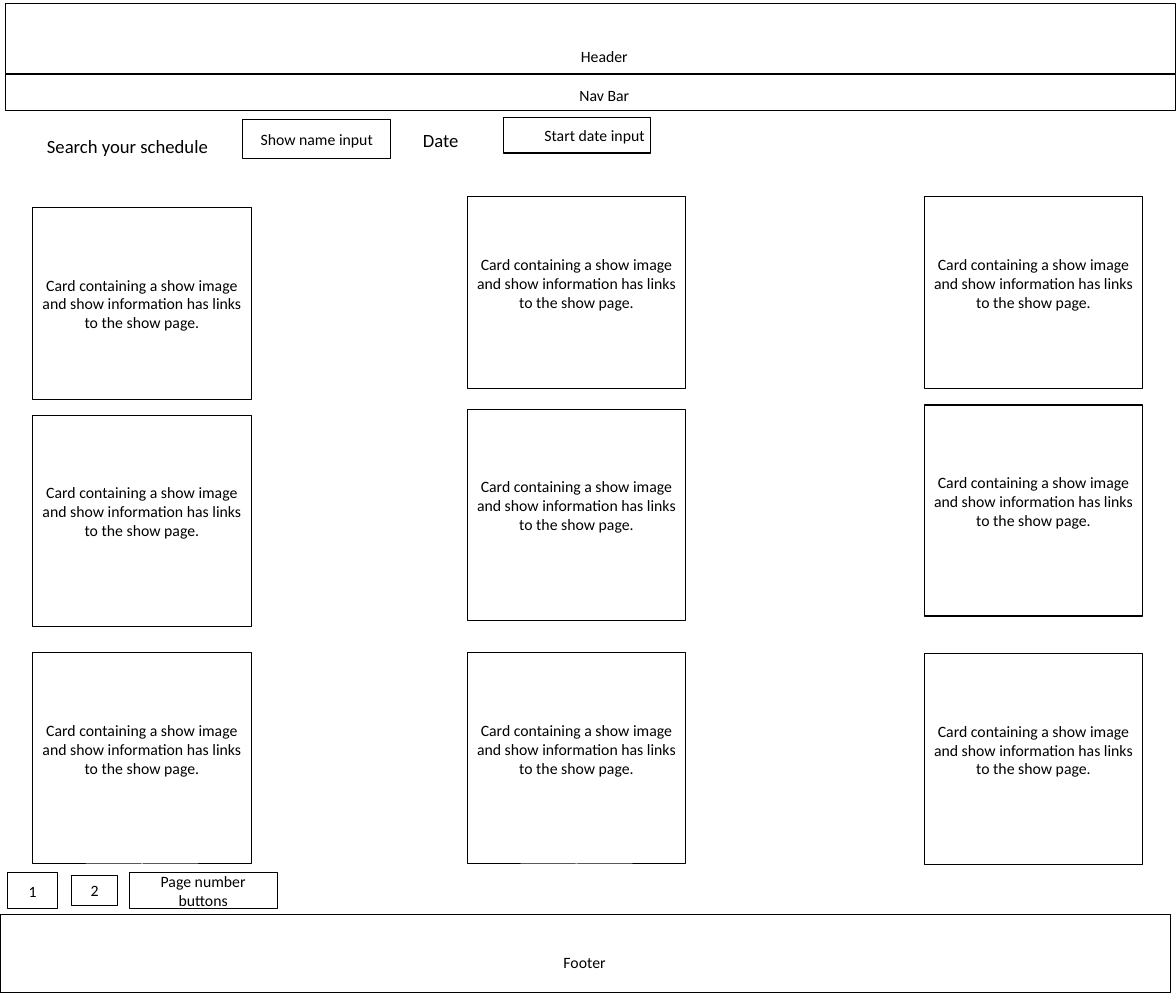
from pptx import Presentation
from pptx.dml.color import RGBColor
from pptx.enum import shapes, text
from pptx.util import Pt

BLACK = RGBColor(0, 0, 0)
FONT = "Calibri"
BODY_SIZE = 15.2
LABEL_SIZE = 18
SIDE_INSET, EDGE_INSET = 5.8, 2.9
CAPTION_LINE = 18.5
CARD_TEXT = ("Card containing a show image and show information "
             "has links to the show page.")
CARD_WIDTH = 210.5
CARD_HEIGHTS = (185, 203.4, 203.4)
# Left edge of each column, with the top of each card in it
CARD_COLUMNS = (
    (31.7, (200.2, 400.5, 629.4)),
    (450.7, (189.4, 394.7, 629.4)),
    (891.4, (189.4, 390.4, 630.2)),
)


def write(frame, words, size=BODY_SIZE, align=text.PP_ALIGN.CENTER):
    para = frame.paragraphs[0]
    para.alignment = align
    span = para.add_run()
    span.text = words
    span.font.name = FONT
    span.font.size = Pt(size)
    span.font.color.rgb = BLACK


def add_frame(page, left, top, width, height, words="",
              bottom_inset=EDGE_INSET, align=text.PP_ALIGN.CENTER):
    """Outlined rectangle with its words in the middle."""
    box = page.shapes.add_shape(shapes.MSO_SHAPE.RECTANGLE,
                                Pt(left), Pt(top), Pt(width), Pt(height))
    box.shadow.inherit = False
    box.fill.background()
    box.line.color.rgb = BLACK
    box.line.width = Pt(1)
    if words:
        frame = box.text_frame
        frame.word_wrap = True
        frame.vertical_anchor = text.MSO_ANCHOR.MIDDLE
        frame.margin_left = frame.margin_right = Pt(SIDE_INSET)
        frame.margin_top = Pt(EDGE_INSET)
        frame.margin_bottom = Pt(bottom_inset)
        write(frame, words, align=align)


def add_label(page, left, top, width, height, words, size=BODY_SIZE, wrap=True):
    box = page.shapes.add_textbox(Pt(left), Pt(top), Pt(width), Pt(height))
    box.text_frame.word_wrap = wrap
    write(box.text_frame, words, size)


def add_band(page, left, top, width, height, words, label_left, label_top):
    """Full-width band; the label is placed from the band's corner."""
    add_frame(page, left, top, width, height)
    add_label(page, left + label_left, top + label_top, 358, 26, words)


def add_search_row(page, left, top):
    add_label(page, left, top + 13.7, 172.2, 28.8, "Search your schedule",
              size=LABEL_SIZE, wrap=False)
    add_frame(page, left + 197.3, top + 2.2, 142.6, 37.4, "Show name input")
    add_label(page, left + 361.6, top + 7.5, 53.3, 28.8, "Date",
              size=LABEL_SIZE, wrap=False)
    add_frame(page, left + 448.4, top, 142.4, 34.5, "Start date input",
              align=text.PP_ALIGN.RIGHT)


def add_cards(page):
    for column, (left, tops) in enumerate(CARD_COLUMNS):
        for row, (top, height) in enumerate(zip(tops, CARD_HEIGHTS)):
            centred = column == row == 0
            bottom_inset = EDGE_INSET + (0 if centred else CAPTION_LINE)
            add_frame(page, left, top, CARD_WIDTH, height, CARD_TEXT,
                      bottom_inset=bottom_inset)


def add_pager(page, left, top):
    add_frame(page, left, top, 48.4, 34.6, "1")
    add_frame(page, left + 61.9, top + 2.9, 44.1, 28.8, "2")
    add_frame(page, left + 117.4, top, 142.6, 34.6, "Page number buttons")


def main():
    deck = Presentation()
    deck.slide_width, deck.slide_height = Pt(1134), Pt(960)
    page = deck.slides.add_slide(deck.slide_layouts[6])
    add_band(page, 5, 3, 1129, 67.7, "Header", 398.8, 38.1)
    add_band(page, 5, 72, 1129, 34.6, "Nav Bar", 398.8, 6.8)
    add_band(page, 0, 881.5, 1129, 75.4, "Footer", 384.7, 33.7)
    add_search_row(page, 36.8, 113)
    add_cards(page)
    add_pager(page, 7.2, 841.2)
    deck.save("out.pptx")


if __name__ == "__main__":
    main()
